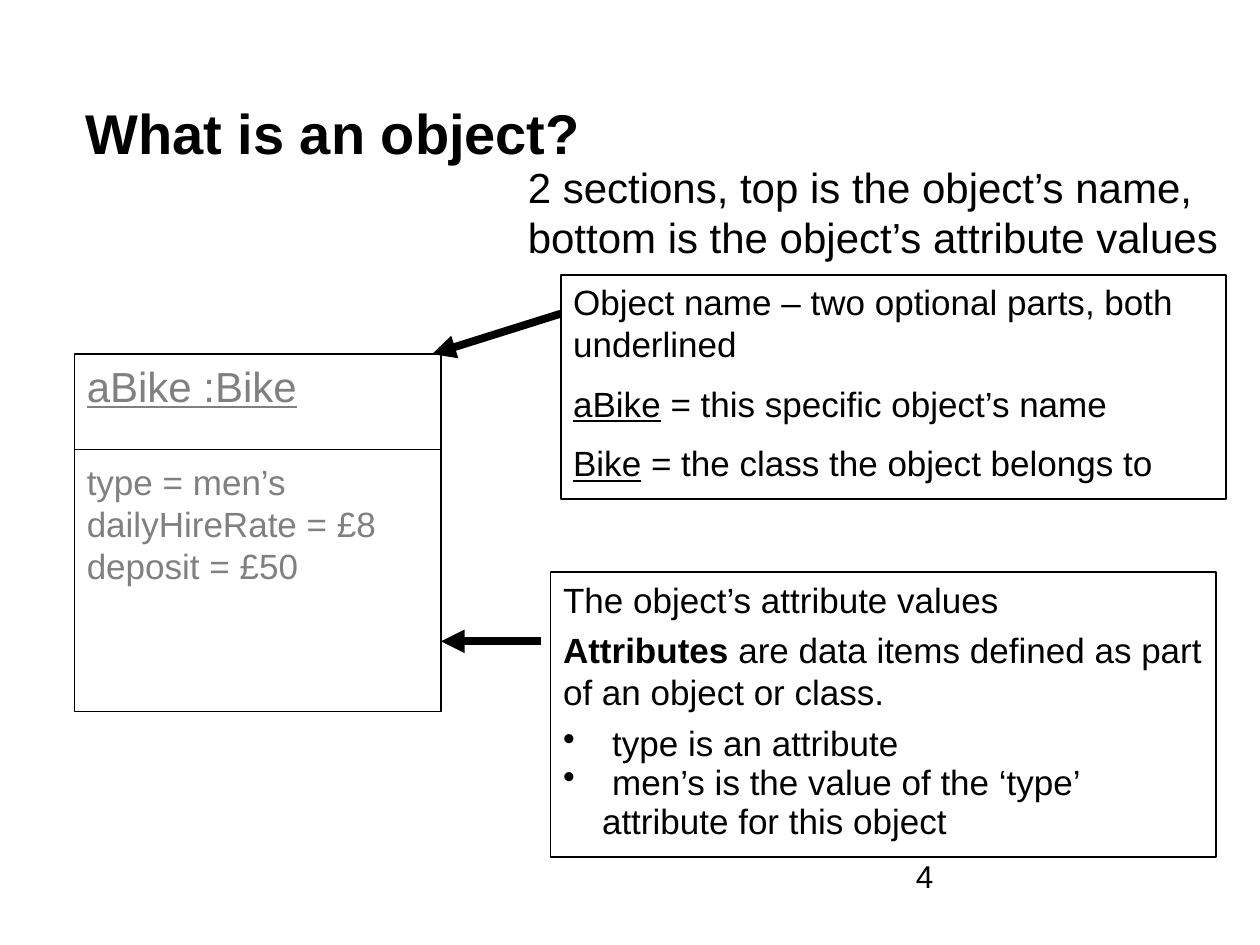
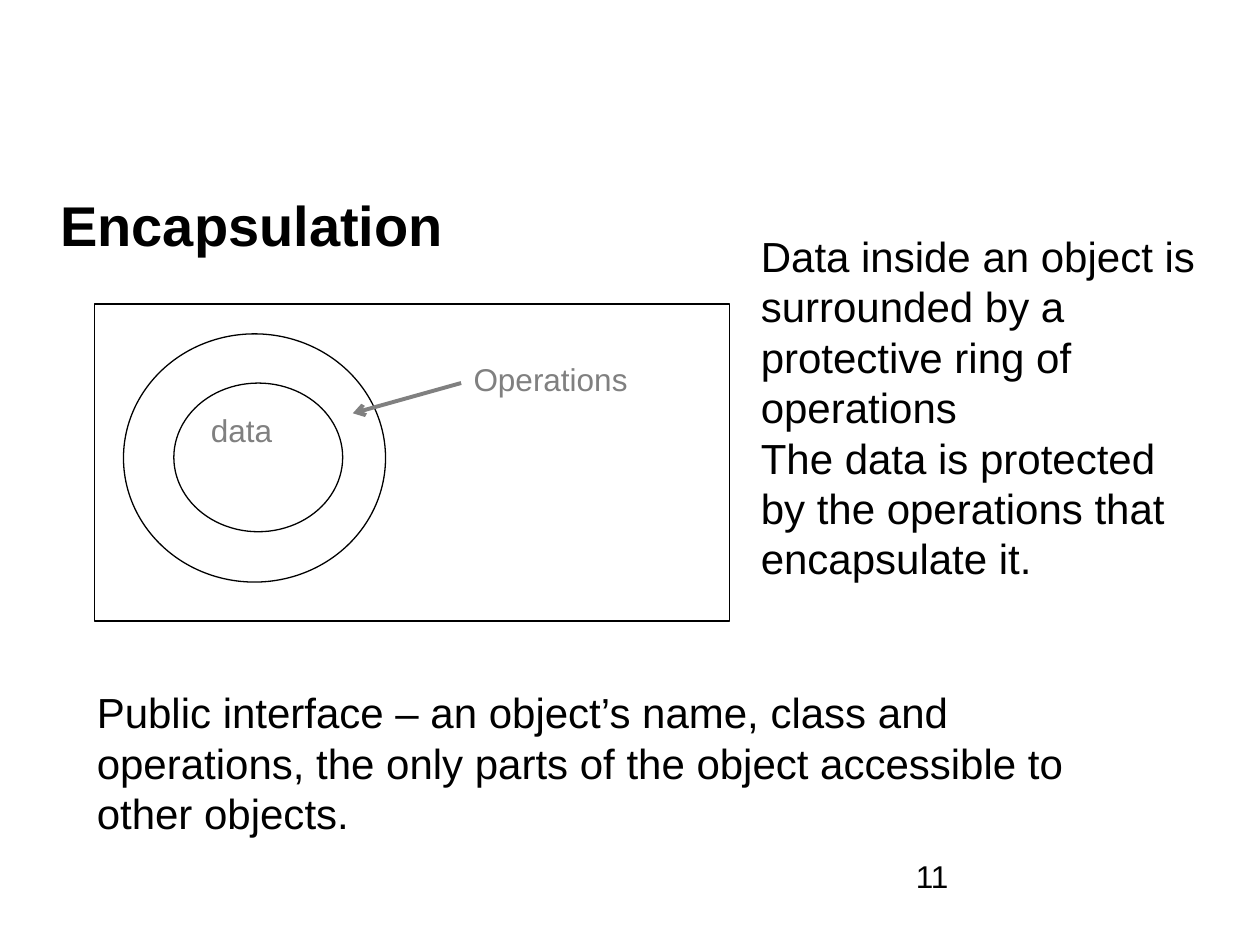
import pptx
import pptx.util
import pptx.dml.color
import pptx.enum.shapes
import pptx.enum.text
import pptx.oxml
import pptx.oxml.ns
from pptx.util import Inches

COLOURS = {"ink": "000000", "grey": "808080", "paper": "FFFFFF"}
FONT = "Arial"
TITLE = {"size": 32, "bold": True}
LEAD = {"size": 24}
NOTE = {"size": 20}
LABEL = {"size": 18}
SHAPES = pptx.enum.shapes.MSO_SHAPE


def colour(name):
    """Return the named colour."""
    return pptx.dml.color.RGBColor.from_string(COLOURS[name])


def write(shape, paragraphs, style, ink="ink", anchor="TOP"):
    """Fill a shape with paragraphs of (spans, paragraph format) pairs."""
    frame = shape.text_frame
    frame.word_wrap = True
    frame.vertical_anchor = getattr(pptx.enum.text.MSO_ANCHOR, anchor)
    for index, (spans, layout) in enumerate(paragraphs):
        para = frame.add_paragraph() if index else frame.paragraphs[0]
        para.alignment = pptx.enum.text.PP_ALIGN.LEFT
        for key in ("space_before", "line_spacing"):
            if key in layout:
                setattr(para, key, layout[key])
        if "margin" in layout:
            indent(para, layout["margin"], layout.get("bullet"))
        for text, changes in spans:
            span = para.add_run()
            span.text = text
            values = {"name": FONT, **style, **changes}
            values["size"] = pptx.util.Pt(values["size"])
            for key, value in values.items():
                setattr(span.font, key, value)
            span.font.color.rgb = colour(ink)


def indent(para, margin, bullet):
    """Indent a paragraph, hanging it from a bullet if there is one."""
    properties = para._p.get_or_add_pPr()
    properties.set("marL", str(Inches(margin)))
    if bullet:
        properties.set("indent", str(-Inches(margin)))
        mark = pptx.oxml.ns.qn("a:buChar")
        properties.makeelement(mark)
        properties.append(properties.makeelement(mark, {"char": bullet}))


def plain(*texts):
    """Turn strings into unformatted paragraphs."""
    return [([(text, {})], {}) for text in texts]


def add_text(page, box, paragraphs, style, **options):
    """Add a text box."""
    shape = page.shapes.add_textbox(*map(Inches, box))
    write(shape, paragraphs, style, **options)


def add_outline(page, kind, box, weight, fill=None):
    """Add a preset shape with a thin outline, or none at weight zero."""
    shape = page.shapes.add_shape(kind, *map(Inches, box))
    shape.shadow.inherit = False
    if fill:
        shape.fill.solid()
        shape.fill.fore_color.rgb = colour(fill)
    else:
        shape.fill.background()
    if weight:
        shape.line.color.rgb = colour("ink")
        shape.line.width = pptx.util.Pt(weight)
    else:
        shape.line.fill.background()
    return shape


def add_line(page, start, end, weight, ink="ink", head=None):
    """Add a straight line, with an arrowhead at its end if asked."""
    line = page.shapes.add_connector(
        pptx.enum.shapes.MSO_CONNECTOR.STRAIGHT, *map(Inches, start + end))
    line.line.color.rgb = colour(ink)
    line.line.width = pptx.util.Pt(weight)
    qn = pptx.oxml.ns.qn
    if head:
        stroke = line.line._get_or_add_ln()
        stroke.append(stroke.makeelement(qn("a:tailEnd"), {"type": head}))
    properties = line._element.spPr
    properties.append(properties.makeelement(qn("a:effectLst")))


def add_page(deck, title, title_box, number):
    """Add a blank page with its title and page number."""
    page = deck.slides.add_slide(deck.slide_layouts[6])
    add_text(page, title_box, plain(title), TITLE, anchor="MIDDLE")
    add_text(page, (7.17, 6.75, 2.08, 0.5), plain(number), LABEL)
    return page


def add_object_diagram(page, box):
    """Draw the object box with its name above its attribute values."""
    left, top, width, height = box
    shape = add_outline(page, SHAPES.RECTANGLE, box, 0.75, "paper")
    name = ([("aBike :Bike", {"size": 24, "underline": True})], {})
    values = plain("type = men’s", "dailyHireRate = £8", "deposit = £50")
    values[0][1]["space_before"] = pptx.util.Pt(28.5)
    write(shape, [name] + values, NOTE, ink="grey")
    divider = top + 0.76
    add_line(page, (left, divider), (left + width, divider), 0.75)


def add_callout(page, box, paragraphs, start, end):
    """Add an outlined note and its arrow, given by offsets from the box."""
    left, top = box[:2]
    write(add_outline(page, SHAPES.RECTANGLE, box, 1), paragraphs, NOTE)
    points = [(left + x, top + y) for x, y in (start, end)]
    add_line(page, *points, 4.5, head="triangle")


def add_ring_diagram(page, box):
    """Draw data inside its ring of operations."""
    left, top = box[:2]
    add_outline(page, SHAPES.RECTANGLE, box, 1)
    add_outline(page, SHAPES.OVAL, (left + 0.23, top + 0.24, 2.08, 1.97), 0.75, "paper")
    core = add_outline(page, SHAPES.OVAL, (left + 0.63, top + 0.63, 1.34, 1.18), 0.75, "paper")
    write(core, plain("data"), LABEL, ink="grey")
    label = add_outline(page, SHAPES.RECTANGLE, (left + 2.91, top + 0.4, 2.05, 0.71), 0, "paper")
    write(label, plain("Operations"), LABEL, ink="grey")
    add_line(page, (left + 2.91, top + 0.63), (left + 2.05, top + 0.87), 2.25, "grey", "arrow")


def build_object_page(deck):
    """Build the page that explains an object."""
    page = add_page(deck, "What is an object?", (0.58, 0.42, 8.5, 1.25), "4")
    add_object_diagram(page, (0.59, 2.81, 2.91, 2.84))
    wide = {"space_before": pptx.util.Pt(10)}
    near = {"space_before": pptx.util.Pt(5)}
    tight = {**near, "line_spacing": 0.7}
    bullet = {"margin": 0.39, "bullet": "•"}
    underlined = {"underline": True}
    add_callout(page, (4.45, 2.18, 5.28, 1.78), [
        ([("Object name – two optional parts, both underlined", {})], wide),
        ([("aBike", underlined), (" = this specific object’s name", {})], wide),
        ([("Bike", underlined), (" = the class the object belongs to", {})], wide),
    ], (0, 0.31), (-1.02, 0.63))
    add_callout(page, (4.37, 4.54, 5.28, 2.26), [
        ([("The object’s attribute values", {})], wide),
        ([("Attributes", {"bold": True}),
          (" are data items defined as part of an object or class.", {})], near),
        ([("type is an attribute", {})], {**near, **bullet}),
        ([("men’s is the value of the ‘type’", {})], {**tight, **bullet}),
        ([("attribute for this object", {})], {**tight, "margin": 0.31}),
    ], (-0.08, 0.55), (-0.87, 0.55))
    add_text(page, (4.09, 1.23, 5.91, 0.9), plain(
        "2 sections, top is the object’s name, bottom is the object’s attribute values"), LEAD)


def build_encapsulation_page(deck):
    """Build the page that explains encapsulation."""
    page = add_page(deck, "Encapsulation", (0.38, 1.4, 9.24, 0.76), "11")
    add_ring_diagram(page, (0.75, 2.41, 5.04, 2.52))
    add_text(page, (5.94, 1.78, 3.7, 2.93), plain(
        "Data inside an object is surrounded by a protective ring of operations",
        "The data is protected by the operations that encapsulate it."), LEAD)
    add_text(page, (0.67, 5.4, 8.27, 1.72), plain(
        "Public interface – an object’s name, class and operations, "
        "the only parts of the object accessible to other objects."), LEAD)


def main():
    """Build and save the deck."""
    deck = pptx.Presentation()
    deck.slide_width, deck.slide_height = Inches(10), Inches(7.5)
    build_object_page(deck)
    build_encapsulation_page(deck)
    deck.save("out.pptx")


main()
